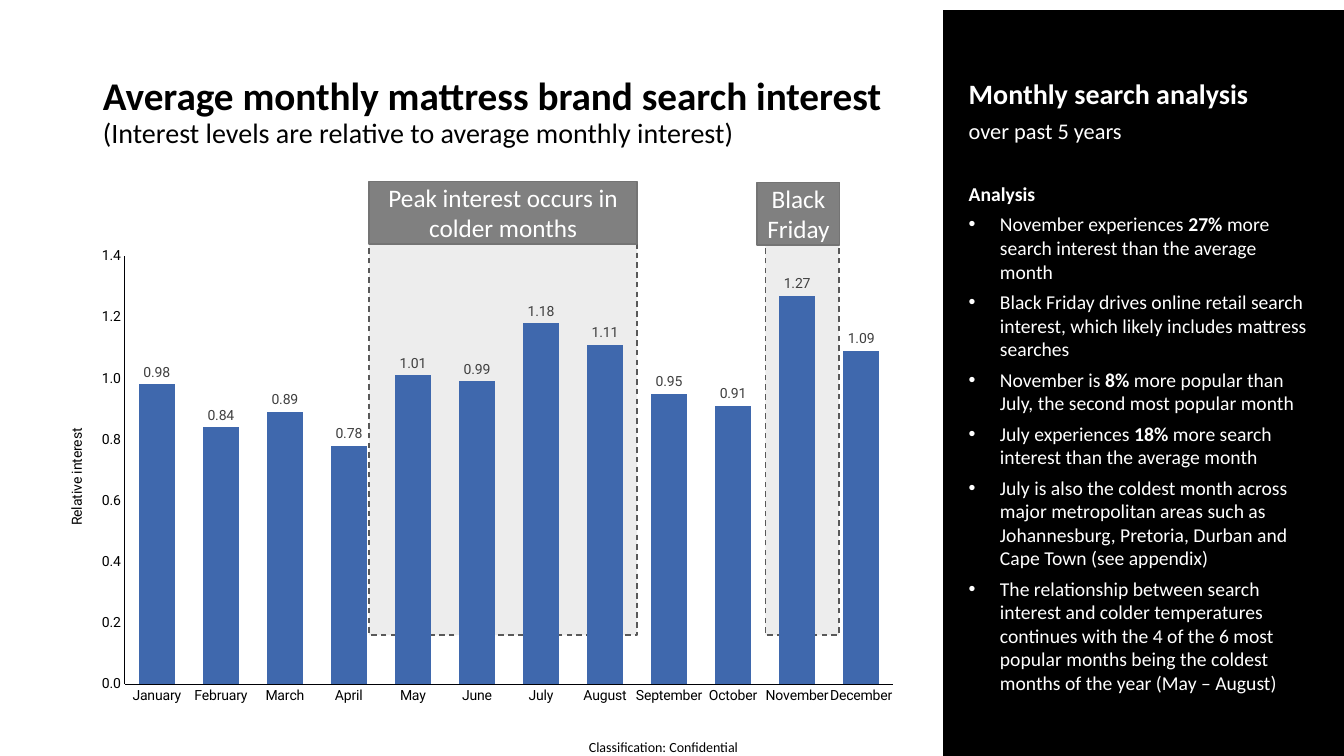
"""Build the slide on average monthly mattress brand search interest."""
from lxml.etree import SubElement
from pptx import Presentation
from pptx.chart.data import CategoryChartData
from pptx.dml.color import RGBColor
from pptx.enum.chart import XL_CHART_TYPE, XL_LABEL_POSITION, XL_TICK_MARK
from pptx.enum.dml import MSO_LINE
from pptx.enum.shapes import MSO_SHAPE
from pptx.enum.text import MSO_ANCHOR, MSO_AUTO_SIZE, PP_ALIGN
from pptx.oxml import parse_xml
from pptx.oxml.ns import nsdecls, qn
from pptx.util import Inches, Pt

color = RGBColor.from_string
deck = Presentation()
deck.slide_width, deck.slide_height = Inches(13.33), Inches(7.5)
column, row = deck.slide_width / 100, deck.slide_height / 100
page = deck.slides.add_slide(deck.slide_layouts[5])


def cells(left, top, width, height):
    """Turn columns and rows of a 100 by 100 grid into lengths."""
    return [int(left * column), int(top * row), int(width * column), int(height * row)]


def set_font(font, hex_color, **formats):
    """Set a font's colour and format values."""
    font.color.rgb = color(hex_color)
    for name, value in formats.items():
        setattr(font, name, value)


title = page.shapes.title
title.left, title.top, title.width, title.height = cells(6.9, 5.33, 62.8, 19.33)
title.text_frame.auto_size = MSO_AUTO_SIZE.NONE
title.text_frame.vertical_anchor = MSO_ANCHOR.MIDDLE
para = title.text_frame.paragraphs[0]
para.alignment, para.line_spacing = PP_ALIGN.LEFT, 0.9
span = para.add_run()
span.text = "Average monthly mattress brand search interest"
set_font(span.font, "000000", name="Calibri", size=Pt(28), bold=True)
para.add_line_break()
span = para.add_run()
span.text = "(Interest levels are relative to average monthly interest)"
set_font(span.font, "000000", name="Calibri", size=Pt(20), bold=False)

blocks = [
    ((27.46, 30, 19.95, 54), "EDEDED", "595959", ""),
    ((56.94, 32.27, 5.48, 51.73), "EDEDED", "595959", ""),
    ((27.46, 24, 19.95, 8.27), "808080", "747474", "Peak interest occurs in colder months"),
    ((56.34, 24.13, 6.15, 8.27), "808080", "747474", "Black Friday"),
    ((70.18, 1.4, 29.82, 98.6), "000000", "000000", ""),
]
for place, fill, line, label in blocks:
    box = page.shapes.add_shape(MSO_SHAPE.RECTANGLE, *cells(*place))
    box.shadow.inherit = False
    box.fill.solid()
    box.fill.fore_color.rgb = color(fill)
    box.line.color.rgb = color(line)
    box.line.width = Pt(1)
    if fill == "EDEDED":
        box.line.dash_style = MSO_LINE.DASH
    if label:
        frame = box.text_frame
        frame.margin_left = frame.margin_right = Inches(0.05)
        frame.vertical_anchor = MSO_ANCHOR.MIDDLE
        para = frame.paragraphs[0]
        para.text, para.alignment = label, PP_ALIGN.CENTER
        set_font(para.font, "FFFFFF", name="Calibri", size=Pt(18))

headings = [
    ("Monthly search analysis", 20, True, 0),
    ("over past 5 years", 16, False, 5),
    ("Analysis", 14, True, 27),
]
findings = [
    ("November experiences ", "27% ", "more search interest than the average month"),
    ("Black Friday drives online retail search interest, which likely includes mattress searches",),
    ("November is ", "8% ", "more popular than July, the second most popular month"),
    ("July experiences ", "18% ", "more search interest than the average month"),
    ("July is also the coldest month across major metropolitan areas such as "
     "Johannesburg, Pretoria, Durban and Cape Town (see appendix)",),
    ("The relationship between search interest and colder temperatures continues with the 4 of the "
     "6 most popular months being the coldest months of the year (May – August)",),
]
analysis = page.shapes.add_textbox(*cells(71.34, 9.47, 27, 83.87)).text_frame
analysis.word_wrap = True
for number, (text, size, bold, gap) in enumerate(headings):
    para = analysis.add_paragraph() if number else analysis.paragraphs[0]
    para.text, para.space_before = text, Pt(gap)
    set_font(para.runs[0].font, "FFFFFF", name="Calibri", size=Pt(size), bold=bold)
for finding in findings:
    para = analysis.add_paragraph()
    para.space_before = Pt(5)
    properties = para._p.get_or_add_pPr()
    properties.set("marL", str(Inches(0.31)))
    properties.set("indent", str(-Inches(0.31)))
    SubElement(properties, qn("a:buFont"), typeface="Arial")
    SubElement(properties, qn("a:buChar"), char="•")
    for number, text in enumerate(finding):
        span = para.add_run()
        span.text = text
        set_font(span.font, "FFFFFF", name="Calibri", size=Pt(14), bold=number == 1)

data = CategoryChartData(number_format="0.00")
data.categories = ["January", "February", "March", "April", "May", "June", "July",
                   "August", "September", "October", "November", "December"]
data.add_series("Series 1", [0.98, 0.84, 0.89, 0.78, 1.01, 0.99, 1.18, 1.11, 0.95, 0.91, 1.27, 1.09])
chart = page.shapes.add_chart(
    XL_CHART_TYPE.COLUMN_CLUSTERED, *cells(3.15, 31.47, 64.6, 62.93), data).chart
chart.has_legend = chart.has_title = False
set_font(chart.font, "000000", name="Calibri", size=Pt(10))

for axis in (chart.category_axis, chart.value_axis):
    axis.major_tick_mark = axis.minor_tick_mark = XL_TICK_MARK.NONE
    axis.has_major_gridlines = False
    axis.format.line.color.rgb = color("000005")
    axis.format.line.width = Pt(0.75)
    set_font(axis.tick_labels.font, "000000", name="Roboto", size=Pt(10))
scale = chart.value_axis
scale.minimum_scale, scale.maximum_scale, scale.major_unit = 0, 1.4, 0.2
scale.tick_labels.number_format = "0.0"
scale.tick_labels.number_format_is_linked = False
para = scale.axis_title.text_frame.paragraphs[0]
para.text = "Relative interest"
set_font(para.runs[0].font, "000000", name="Roboto", size=Pt(10), bold=False)

plot = chart.plots[0]
plot.gap_width, plot.overlap, plot.vary_by_categories = 80, 1, False
bars = plot.series[0]
bars.format.fill.solid()
bars.format.fill.fore_color.rgb = color("3F68AD")
labels = bars.data_labels
labels.show_value, labels.position = True, XL_LABEL_POSITION.OUTSIDE_END
labels.number_format, labels.number_format_is_linked = "0.00", False
set_font(labels.font, "404040", name="Roboto", size=Pt(10))

clear = f'<c:spPr {nsdecls("c", "a")}><a:noFill/><a:ln><a:noFill/></a:ln></c:spPr>'
area = chart._chartSpace.chart.plotArea
chart._chartSpace.chart.addnext(parse_xml(clear))
area.append(parse_xml(clear))
for old in area.findall(qn("c:layout")):
    area.remove(old)
heading = scale.axis_title._element
for old in heading.findall(qn("c:layout")):
    heading.remove(old)
layouts = [
    (area, 0, {"layoutTarget": "inner", "xMode": "edge", "yMode": "edge",
               "x": 0.095, "y": 0.038, "w": 0.885, "h": 0.9}),
    (heading, 1, {"xMode": "edge", "yMode": "edge", "x": 0.026, "y": 0.395}),
]
for element, position, values in layouts:
    layout = parse_xml(f'<c:layout {nsdecls("c")}><c:manualLayout/></c:layout>')
    for name, value in values.items():
        SubElement(layout[0], qn(f"c:{name}"), val=str(value))
    element.insert(position, layout)

footer = page.shapes.add_textbox(*cells(43.66, 97.73, 11.4, 2.27)).text_frame
for side in ("left", "top", "right", "bottom"):
    setattr(footer, f"margin_{side}", 0)
footer.word_wrap = True
para = footer.paragraphs[0]
para.text, para.alignment = "Classification: Confidential", PP_ALIGN.CENTER
set_font(para.font, "000000", name="Calibri", size=Pt(10))

deck.save("out.pptx")
